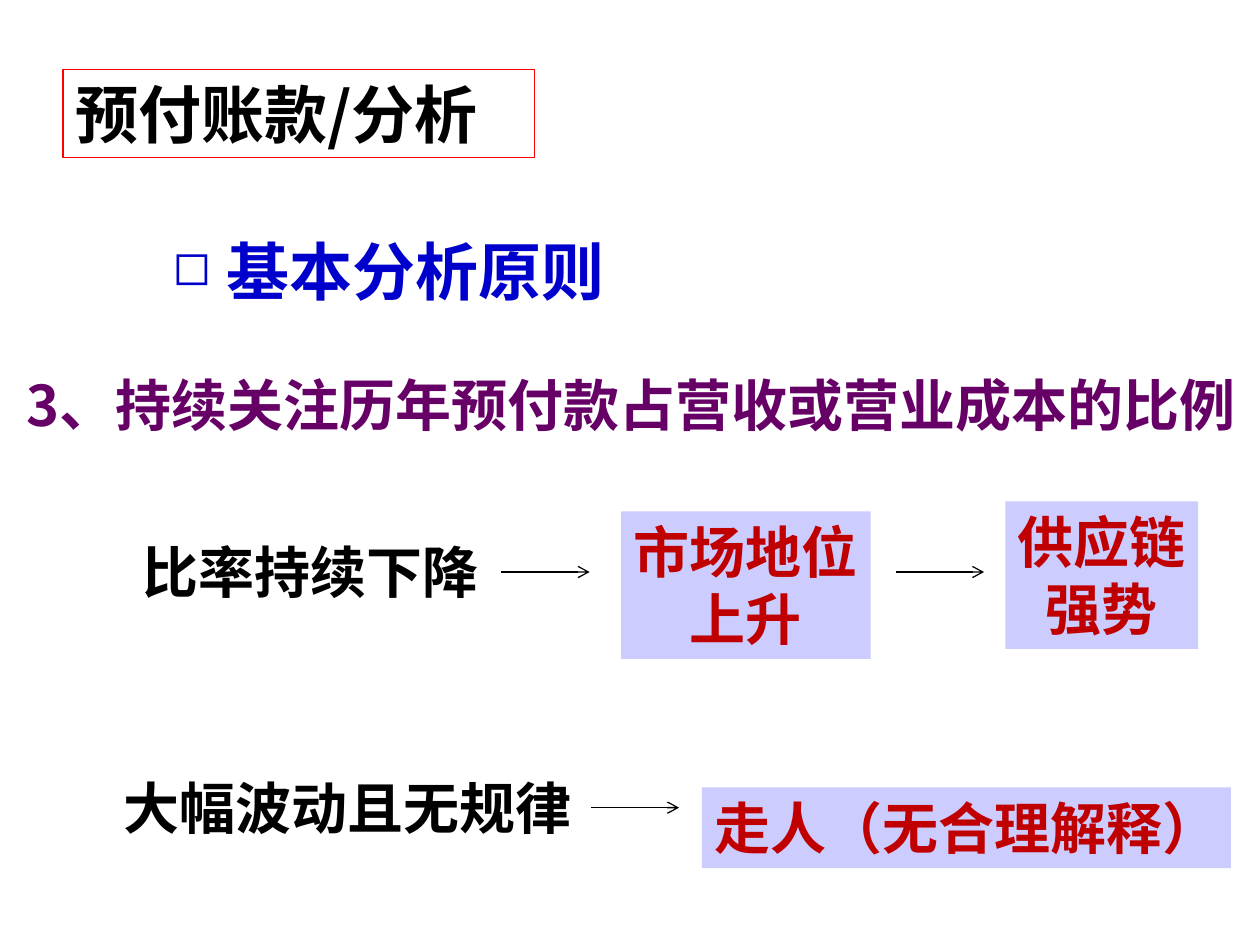
from lxml.etree import SubElement
from pptx import Presentation
from pptx.dml.color import RGBColor
from pptx.enum.shapes import MSO_CONNECTOR, MSO_SHAPE
from pptx.enum.text import MSO_ANCHOR, MSO_AUTO_SIZE, PP_ALIGN
from pptx.oxml.ns import qn
from pptx.util import Inches, Pt

COLS, ROWS = 100, 75
CELL = Inches(10) // COLS
CJK = "Noto Sans CJK SC"
SERIF = "Times New Roman"
LINE_H = 6.4
ARROW_W = 7
SIDE_INSET = 0.5


def grid(*cells):
    return [int(c * CELL) for c in cells]


def rgb(value):
    return RGBColor.from_string(value)


def add_bullet(p, char, color, indent):
    pPr = p._p.get_or_add_pPr()
    pPr.set("marL", str(indent))
    pPr.set("indent", str(-indent))
    clr = SubElement(pPr, qn("a:buClr"))
    SubElement(clr, qn("a:srgbClr"), val=color)
    SubElement(pPr, qn("a:buSzPct"), val="75000")
    SubElement(pPr, qn("a:buChar"), char=char)


def write(sp, text, size, color, font, align=PP_ALIGN.LEFT):
    tf = sp.text_frame
    tf.text = text
    tf.word_wrap = False
    tf.auto_size = MSO_AUTO_SIZE.SHAPE_TO_FIT_TEXT
    tf.vertical_anchor = MSO_ANCHOR.TOP
    for p in tf.paragraphs:
        p.alignment = align
        for r in p.runs:
            r.font.size = Pt(size)
            r.font.bold = True
            r.font.name = font
            r.font.color.rgb = rgb(color)
            SubElement(r._r.get_or_add_rPr(), qn("a:ea"), typeface=CJK)


def add_label(s, box, text, size, color, font):
    sp = s.shapes.add_textbox(*grid(*box))
    write(sp, text, size, color, font)
    return sp


def add_box(s, box, fill=None, line=None):
    sp = s.shapes.add_shape(MSO_SHAPE.RECTANGLE, *grid(*box))
    sp.shadow.inherit = False
    if fill:
        sp.fill.solid()
        sp.fill.fore_color.rgb = rgb(fill)
    else:
        sp.fill.background()
    if line:
        sp.line.color.rgb = rgb(line)
        sp.line.width = Pt(0.75)
    else:
        sp.line.fill.background()
    return sp


def add_arrow(s, x, y):
    c = s.shapes.add_connector(MSO_CONNECTOR.STRAIGHT, *grid(x, y, x + ARROW_W, y))
    c.line.color.rgb = rgb("000000")
    c.line.width = Pt(0.75)
    SubElement(c.line._get_or_add_ln(), qn("a:tailEnd"), type="arrow")
    SubElement(c._element.spPr, qn("a:effectLst"))


def add_title(s, box, text):
    write(add_box(s, box, line="FF0000"), text, 36, "000000", CJK)


def add_principle(s, box, heading, point):
    x, y, w, h = box
    sp = add_label(s, (x + 11.6, y, 37.7, 7), heading, 36, "0000CC", SERIF)
    add_bullet(sp.text_frame.paragraphs[0], "◻", "0000CC", grid(4.3)[0])
    add_label(s, (x, y + h - LINE_H, w, LINE_H), point, 32, "660066", CJK)


def add_flow(s, box, cause, label, effects):
    x, y, w, h = box
    drop, label_w = label
    add_label(s, (x, y + drop, label_w, LINE_H), cause, 32, "000000", SERIF)
    for arrow_x, (dx, dy, box_w, box_h), text in effects:
        add_arrow(s, x + arrow_x, y + drop + LINE_H / 2)
        sp = add_box(s, (x + dx, y + dy, box_w, box_h), fill="CCCCFF")
        tf = sp.text_frame
        tf.margin_left, tf.margin_right = grid(SIDE_INSET, SIDE_INSET)
        write(sp, text, 32, "C00000", SERIF, PP_ALIGN.CENTER)


def main():
    prs = Presentation()
    prs.slide_width, prs.slide_height = grid(COLS, ROWS)
    s = prs.slides.add_slide(prs.slide_layouts[6])
    add_title(s, (5, 5.5, 37.4, 7), "预付账款/分析")
    add_principle(s, (1.1, 18, 99.2, 17.3), "基本分析原则",
                  "3、持续关注历年预付款占营收或营业成本的比例")
    add_flow(s, (10.3, 39.8, 84.8, 12.5), "比率持续下降", (2.4, 28.7), [
        (29.5, (39, 0.8, 19.8, 11.7), "市场地位\n上升"),
        (60.8, (69.5, 0, 15.3, 11.7), "供应链\n强势"),
    ])
    add_flow(s, (8.8, 60.9, 88.9, 8), "大幅波动且无规律", (0, 37.6), [
        (38.1, (46.9, 1.6, 42, LINE_H), "走人（无合理解释）"),
    ])
    prs.save("out.pptx")


if __name__ == "__main__":
    main()
